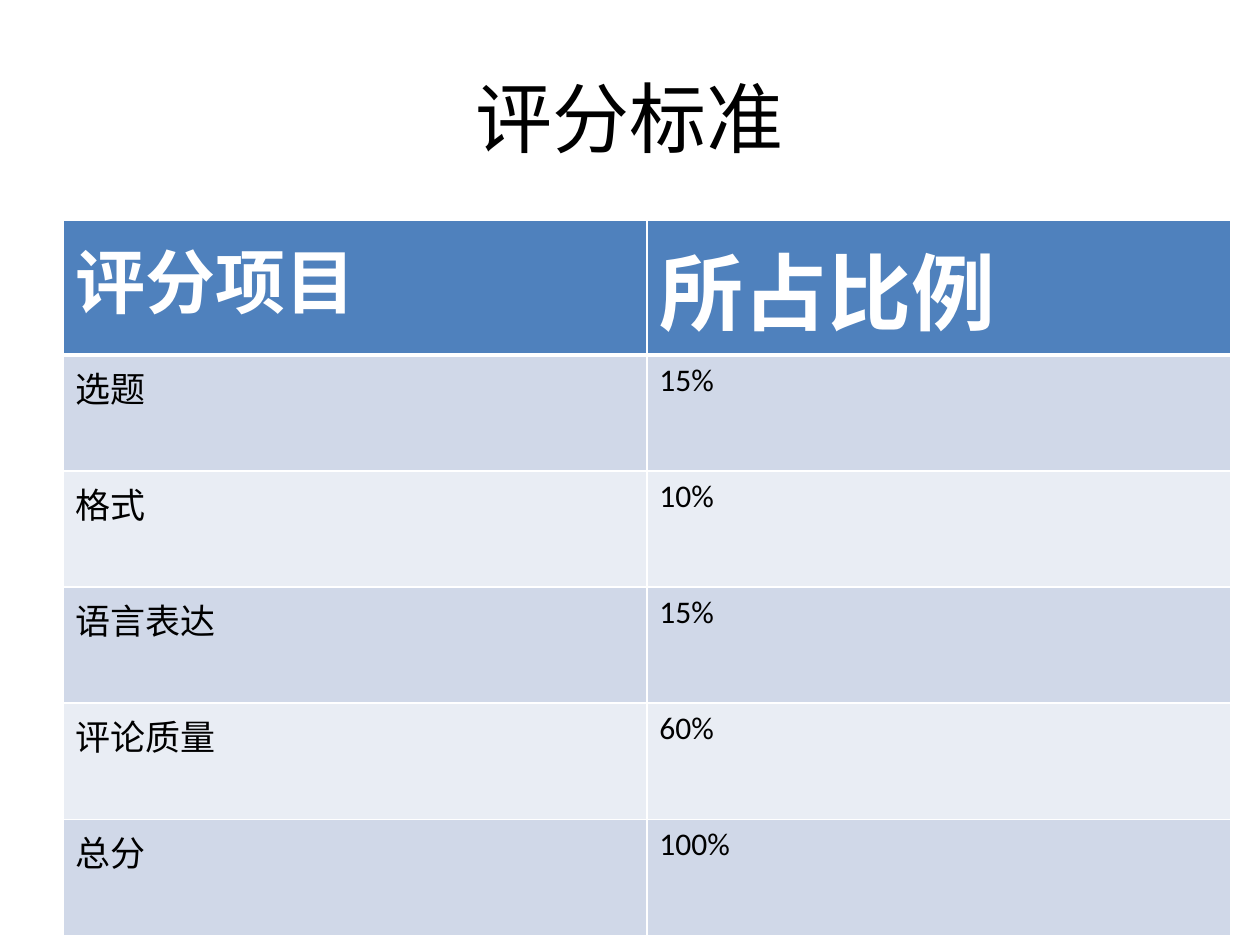
from dataclasses import dataclass
from typing import NamedTuple

from lxml import etree
from pptx import Presentation
from pptx import util as u
from pptx.dml.color import RGBColor
from pptx.enum import text
from pptx.oxml import ns


@dataclass(frozen=True)
class Theme:
    font: str = "Calibri"
    ink: str = "000000"
    white: str = "FFFFFF"
    head: str = "4F81BD"
    bands: tuple = ("D0D8E8", "E9EDF4")
    title: int = 44
    heads: tuple = (40, 48)
    body: tuple = (20, 18)
    thin: int = 1
    thick: int = 3


class Item(NamedTuple):
    name: str
    share: str


THEME = Theme()
HEAD = Item("评分项目", "所占比例")
ITEMS = [
    Item("选题", "15%"),
    Item("格式", "10%"),
    Item("语言表达", "15%"),
    Item("评论质量", "60%"),
    Item("总分", "100%"),
]


def style(par, size: int, color: str, bold: bool = False) -> None:
    font = par.font
    font.name = THEME.font
    font.size = u.Pt(size)
    font.bold = bold
    font.color.rgb = RGBColor.from_string(color)


def border(cell, top: int, bottom: int) -> None:
    """Draw white lines on all four sides, with widths in points."""
    props = cell._tc.get_or_add_tcPr()
    sides = {"lnL": THEME.thin, "lnR": THEME.thin, "lnT": top, "lnB": bottom}
    for side, width in sides.items():
        line = etree.SubElement(props, ns.qn(f"a:{side}"), w=str(u.Pt(width)))
        fill = etree.SubElement(line, ns.qn("a:solidFill"))
        etree.SubElement(fill, ns.qn("a:srgbClr"), val=THEME.white)


def draw_row(table, row: int, item: Item) -> None:
    is_head = row == 0
    sizes = THEME.heads if is_head else THEME.body
    fill = THEME.head if is_head else THEME.bands[(row - 1) % 2]
    ink = THEME.white if is_head else THEME.ink
    top = THEME.thick if row == 1 else THEME.thin
    bottom = THEME.thick if is_head else THEME.thin
    for col, (words, size) in enumerate(zip(item, sizes)):
        cell = table.cell(row, col)
        cell.text = words
        style(cell.text_frame.paragraphs[0], size, ink, is_head)
        border(cell, top, bottom)
        cell.fill.solid()
        cell.fill.fore_color.rgb = RGBColor.from_string(fill)


def draw_title(slide, words: str) -> None:
    title = slide.shapes.title
    title.left, title.top = u.Cm(1.27), u.Cm(0.76)
    title.width, title.height = u.Cm(22.86), u.Cm(3.18)
    frame = title.text_frame
    frame.text = words
    frame.vertical_anchor = text.MSO_ANCHOR.MIDDLE
    par = frame.paragraphs[0]
    par.alignment = text.PP_ALIGN.CENTER
    style(par, THEME.title, THEME.ink)


def draw_table(slide, rows: list[Item]) -> None:
    frame = slide.shapes.add_table(
        len(rows), len(HEAD), u.Cm(1.27), u.Cm(4.45),
        u.Cm(23.54), u.Cm(2.34) * len(rows))
    for row, item in enumerate(rows):
        draw_row(frame.table, row, item)


def main() -> None:
    deck = Presentation()
    deck.slide_width, deck.slide_height = u.Cm(25.4), u.Cm(19.05)
    # Title-only layout
    slide = deck.slides.add_slide(deck.slide_layouts[5])
    draw_title(slide, "评分标准")
    # Header row, then the graded items
    draw_table(slide, [HEAD, *ITEMS])
    deck.save("out.pptx")


if __name__ == "__main__":
    main()
